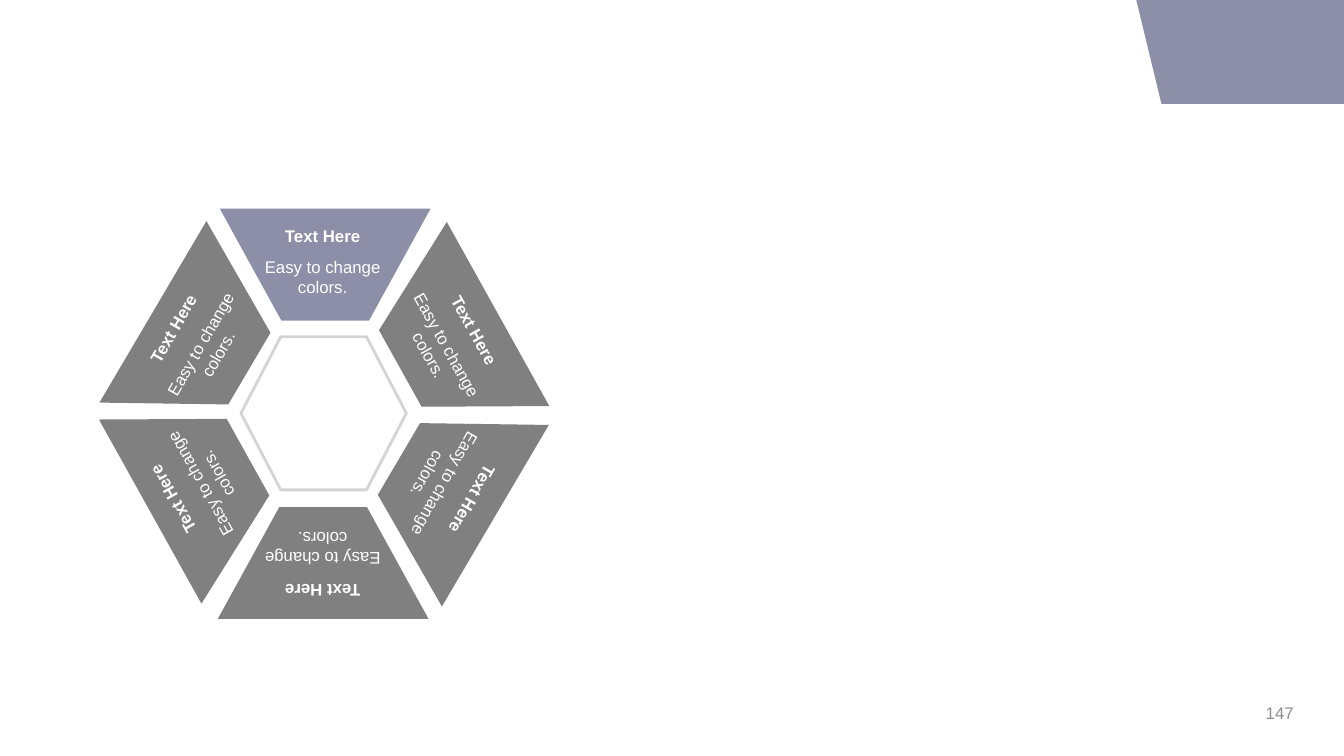
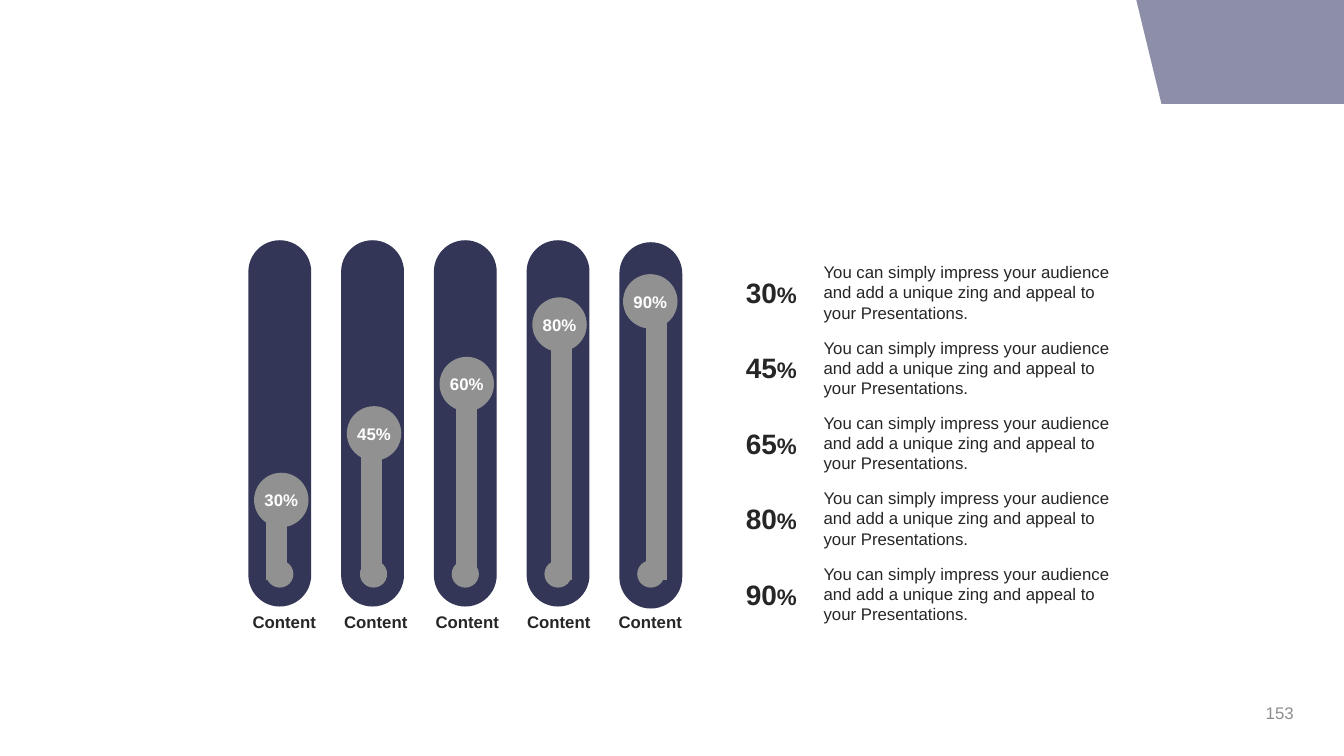
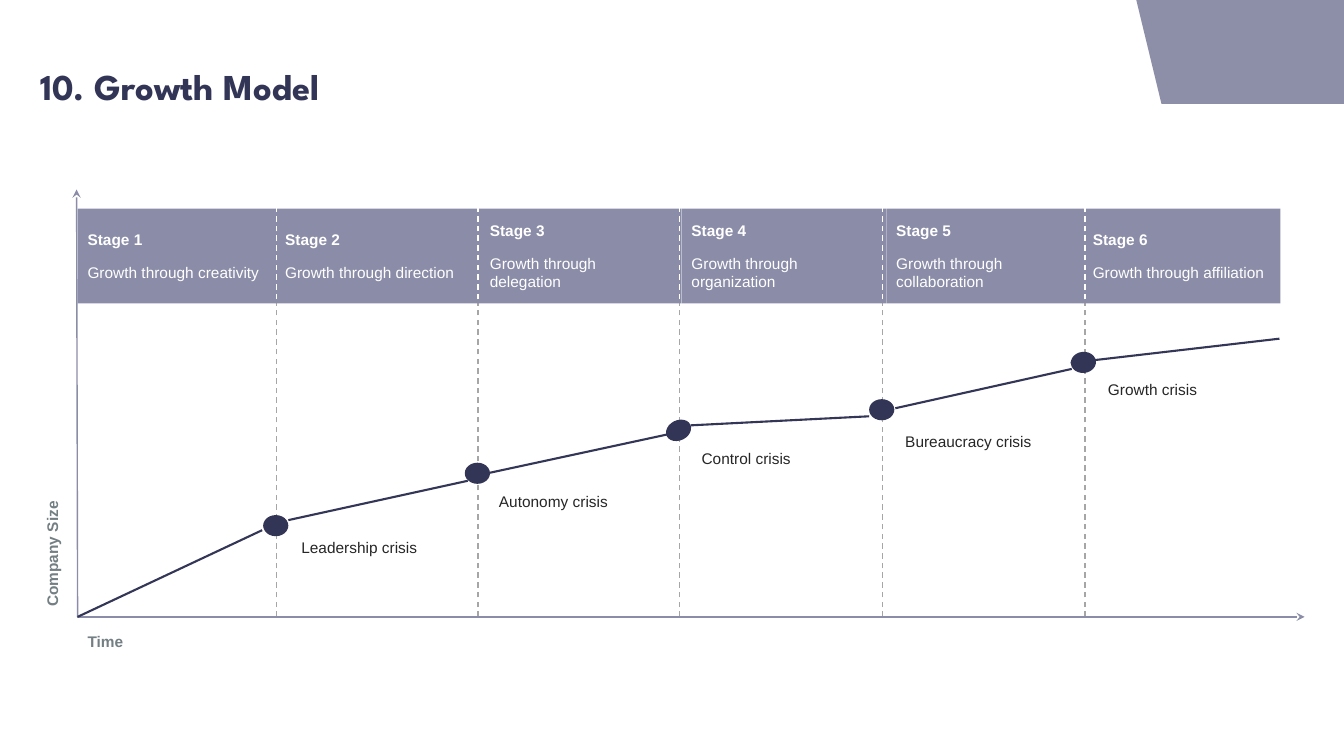
from math import cos, radians, sin

from pptx import Presentation
from pptx.chart.data import CategoryChartData
from pptx.dml.color import RGBColor
from pptx.enum.chart import XL_CHART_TYPE
from pptx.enum.dml import MSO_LINE
from pptx.enum.shapes import MSO_CONNECTOR, MSO_SHAPE
from pptx.enum.text import MSO_ANCHOR, MSO_AUTO_SIZE, PP_ALIGN
from pptx.oxml.ns import qn
from pptx.util import Pt
from lxml.etree import SubElement

PX = 9144  # EMU in one px, 100 px to the inch
BODY_FONT, TITLE_FONT = "Arial", "League Spartan"
WHITE, INK, NAVY, DOT = "FFFFFF", "252625", "333657", "323556"
BAND, LILAC, WEDGE_LILAC = "8D8EA8", "8B8DA8", "8D8EA7"
WEDGE_GREY, BAR_GREY, AXIS_TEXT = "808080", "919191", "747F83"
PAGE_GREY, RING_GREY, DASH_GREY = "8E8E8E", "D4D4D4", "A6A6A6"
BAND_POINTS = [(1333, 0), (1333, 103), (1152, 103), (1127, 0)]

# Hexagon wheel: wedge left, top, turn, adjustment, fill; text turn, heading radius
WHEEL_CENTRE = (320, 411)
WEDGES = [
    (218, 207, 180, 0.55, WEDGE_LILAC, 0, 177),
    (341, 283, 240.9, 0.55, WEDGE_GREY, 61, 172),
    (339, 428, 300.5, 0.57, WEDGE_GREY, 119.7, 171),
    (216, 503, 0, 0.55, WEDGE_GREY, 180, 175),
    (93, 425, 60.9, 0.55, WEDGE_GREY, 240.4, 171),
    (95, 282, 120.5, 0.57, WEDGE_GREY, 299.9, 171),
]
WEDGE_HEADING, WEDGE_DETAIL = "Text Here", "Easy to change colors."

# Tubes: label, bar value, bubble left, bubble top, ball left, tube top
TUBES = [
    ("30%", 33, 252, 469, 264, 239),
    ("45%", 50, 344, 403, 357, 239),
    ("60%", 67, 436, 354, 448, 239),
    ("80%", 89, 528, 295, 540, 239),
    ("90%", 100, 618, 272, 632, 241),
]
TUBE_CAPTION = "Content"
SHARES = ["30", "45", "65", "80", "90"]
SHARE_DETAIL = ("You can simply impress your audience and add a unique zing "
                "and appeal to your Presentations.")

# Growth model
STAGES = ["creativity", "direction", "delegation", "organization",
          "collaboration", "affiliation"]
STAGE_EDGES = [77, 273, 476, 676, 879, 1074, 1270]
DIVIDERS = [274, 474, 674, 875, 1076]
GROWTH_LINE = [
    (77, 612, 260, 526), (286, 516, 464, 477), (486, 469, 662, 431),
    (685, 422, 862, 413), (888, 405, 1063, 366), (1062, 360, 1269, 336),
]
# Crisis: name, dot box, dot turn, label left, label top
CRISES = [
    ("Leadership", (261, 511, 25, 21), 0, 289, 529),
    ("Autonomy", (461, 459, 25, 21), 0, 485, 483),
    ("Control", (663, 414, 20, 26), 63.6, 686, 441),
    ("Bureaucracy", (862, 396, 25, 21), 0, 888, 424),
    ("Growth", (1062, 349, 25, 21), 174.3, 1089, 372),
]


def rgb(value):
    return RGBColor.from_string(value)


def emu(*lengths):
    return [round(length * PX) for length in lengths]


def style(run, size, color, bold=False, font=BODY_FONT):
    run.font.size, run.font.bold, run.font.name = Pt(size), bold, font
    run.font.color.rgb = rgb(color)


def write(shape, lines, size, color, bold=False, align=PP_ALIGN.LEFT,
          anchor=MSO_ANCHOR.TOP, after=0, spacing=None, font=BODY_FONT):
    frame = shape.text_frame
    frame.text = "\n".join(lines)
    frame.word_wrap, frame.vertical_anchor = True, anchor
    for paragraph in frame.paragraphs:
        paragraph.alignment = align
        paragraph.space_after, paragraph.line_spacing = Pt(after), spacing
        for run in paragraph.runs:
            style(run, size, color, bold, font)


def text_box(slide, box, lines, *args, turn=0, **options):
    label = slide.shapes.add_textbox(*emu(*box))
    label.rotation = turn
    write(label, lines, *args, **options)
    return label


def paint(shape, fill, outline=None, width=1):
    shape.shadow.inherit = False
    shape.fill.solid()
    shape.fill.fore_color.rgb = rgb(fill)
    if outline:
        shape.line.color.rgb = rgb(outline)
        shape.line.width = Pt(width)
    else:
        shape.line.fill.background()


def add_part(slide, kind, box, fill, turn=0, adjust=None, outline=None, width=1):
    part = slide.shapes.add_shape(kind, *emu(*box))
    part.rotation = turn
    if adjust is not None:
        part.adjustments[0] = adjust
    paint(part, fill, outline, width)
    return part


def add_line(slide, ends, color, width=1, dashed=False, arrow=False):
    line = slide.shapes.add_connector(MSO_CONNECTOR.STRAIGHT, *emu(*ends))
    line.line.color.rgb, line.line.width = rgb(color), Pt(width)
    if dashed:
        line.line.dash_style = MSO_LINE.DASH
    if arrow:
        SubElement(line.line._get_or_add_ln(), qn("a:tailEnd"), type="stealth")
    SubElement(line.element.spPr, qn("a:effectLst"))


def add_band(prs, slide):
    """Draw the corner band and move it to the master that all slides share."""
    outline = slide.shapes.build_freeform(*BAND_POINTS[0], scale=PX)
    outline.add_line_segments(BAND_POINTS[1:], close=True)
    band = outline.convert_to_shape()
    paint(band, BAND)
    band.element.nvSpPr.cNvPr.set("id", "50")
    prs.slide_master.shapes.element.append(band.element)


def add_page_number(slide, number):
    text_box(slide, (993, 695, 300, 24), [number], 12, PAGE_GREY,
             align=PP_ALIGN.RIGHT, anchor=MSO_ANCHOR.MIDDLE)


def build_wheel(slide):
    for left, top, turn, adjust, fill, _, _ in WEDGES:
        add_part(slide, MSO_SHAPE.TRAPEZOID, (left, top, 209, 111), fill, turn, adjust)
    add_part(slide, MSO_SHAPE.HEXAGON, (239, 334, 164, 152), WHITE,
             adjust=0.26, outline=RING_GREY, width=2)

    # Wedge texts sit on two rings around the centre
    for *_, turn, radius in WEDGES:
        for words, reach, width, height, bold in (
                (WEDGE_DETAIL, radius - 41, 155, 50, False),
                (WEDGE_HEADING, radius, 154, 30, True)):
            x = WHEEL_CENTRE[0] + reach * sin(radians(turn))
            y = WHEEL_CENTRE[1] - reach * cos(radians(turn))
            text_box(slide, (x - width / 2, y - height / 2, width, height), [words],
                     12, WHITE, bold, PP_ALIGN.CENTER, turn=turn)


def add_bars(slide):
    data = CategoryChartData()
    data.categories = [str(i + 1) for i in range(len(TUBES))]
    data.add_series("Series 1", [tube[1] for tube in TUBES])
    chart = slide.shapes.add_chart(XL_CHART_TYPE.COLUMN_STACKED,
                                   *emu(217, 274, 491, 308), data).chart
    chart.has_legend = chart.has_title = False
    chart.font.size, chart.font.name = Pt(18), BODY_FONT
    chart.font.color.rgb = rgb(INK)
    chart.value_axis.minimum_scale, chart.value_axis.maximum_scale = 0, 100
    chart.value_axis.has_major_gridlines = False
    chart.value_axis.visible = chart.category_axis.visible = False
    plot = chart.plots[0]
    plot.gap_width, plot.overlap, plot.vary_by_categories = 360, 100, False
    bars = plot.series[0].format.fill
    bars.solid()
    bars.fore_color.rgb = rgb(BAR_GREY)


def build_tubes(slide):
    for i, tube in enumerate(TUBES):
        add_part(slide, MSO_SHAPE.ROUNDED_RECTANGLE, (247 + 92 * i, tube[-1], 61, 362),
                 NAVY, adjust=0.5, outline=NAVY)
    add_bars(slide)

    # Bubbles, balls and captions
    for i, (share, _, left, top, ball_left, _) in enumerate(TUBES):
        add_part(slide, MSO_SHAPE.OVAL, (ball_left, 556, 27, 27), BAR_GREY)
        bubble = add_part(slide, MSO_SHAPE.OVAL, (left, top, 54, 54), BAR_GREY)
        write(bubble, [share], 12, WHITE, True, PP_ALIGN.CENTER, MSO_ANCHOR.MIDDLE)
        frame = bubble.text_frame
        frame.margin_left = frame.margin_right = 0
        frame.word_wrap = False
        text_box(slide, (239 + 90.75 * i, 602, 86, 30), [TUBE_CAPTION], 12, INK, True,
                 PP_ALIGN.CENTER, MSO_ANCHOR.MIDDLE)

    # Shares with their explanations
    for i, share in enumerate(SHARES):
        figure = text_box(slide, (722, 268 + 75 * i, 86, 44), [share], 20, INK, True,
                          PP_ALIGN.CENTER)
        sign = figure.text_frame.paragraphs[0].add_run()
        sign.text = "%"
        style(sign, 16, INK, True)
        text_box(slide, (807, 255 + 74.75 * i, 310, 71), [SHARE_DETAIL], 12, INK)


def build_growth(slide):
    # Title
    title = slide.shapes.title
    title.left, title.top, title.width, title.height = emu(40, 44, 1087, 87)
    write(title, ["10. Growth Model"], 26, DOT, True, anchor=MSO_ANCHOR.MIDDLE,
          spacing=0.9, font=TITLE_FONT)
    frame = title.text_frame
    frame.auto_size = MSO_AUTO_SIZE.NONE
    frame.margin_left = frame.margin_right = frame.margin_top = frame.margin_bottom = 0

    # Stage cells between their dividers
    for x in DIVIDERS:
        add_line(slide, (x, 612, x, 221), DASH_GREY, dashed=True)
    for i, (stage, left, right) in enumerate(zip(STAGES, STAGE_EDGES, STAGE_EDGES[1:])):
        cell = add_part(slide, MSO_SHAPE.RECTANGLE, (left, 207, right - left, 94), LILAC)
        write(cell, [f"Stage {i + 1}", f"Growth through {stage}"], 11, WHITE, True,
              anchor=MSO_ANCHOR.MIDDLE, after=10)
        cell.text_frame.paragraphs[1].runs[0].font.bold = False
    for x in DIVIDERS:
        add_line(slide, (x, 297, x, 204), WHITE, dashed=True)

    # Axes and their names
    add_line(slide, (76, 612, 1294, 612), LILAC, arrow=True)
    add_line(slide, (77, 612, 76, 188), LILAC, arrow=True)
    for name, box, turn in (("Time", (77, 626, 1193, 24), 0),
                            ("Company Size", (-142, 400, 395, 29), 270)):
        text_box(slide, box, [name], 11, AXIS_TEXT, True, after=10, spacing=0.8, turn=turn)

    # Growth line with a crisis at each bend
    for segment in GROWTH_LINE:
        add_line(slide, segment, NAVY, 1.5)
    for name, dot, turn, left, top in CRISES:
        add_part(slide, MSO_SHAPE.OVAL, dot, DOT, turn)
        text_box(slide, (left, top, 172, 27), [f"{name} crisis"], 11, INK, after=10)


def main():
    prs = Presentation()
    prs.slide_width, prs.slide_height = emu(1333, 750)
    title_only, blank = prs.slide_layouts[5], prs.slide_layouts[6]

    wheel = prs.slides.add_slide(blank)
    add_band(prs, wheel)
    add_page_number(wheel, "147")
    build_wheel(wheel)

    tubes = prs.slides.add_slide(blank)
    add_page_number(tubes, "153")
    build_tubes(tubes)

    build_growth(prs.slides.add_slide(title_only))
    prs.save("out.pptx")


if __name__ == "__main__":
    main()
